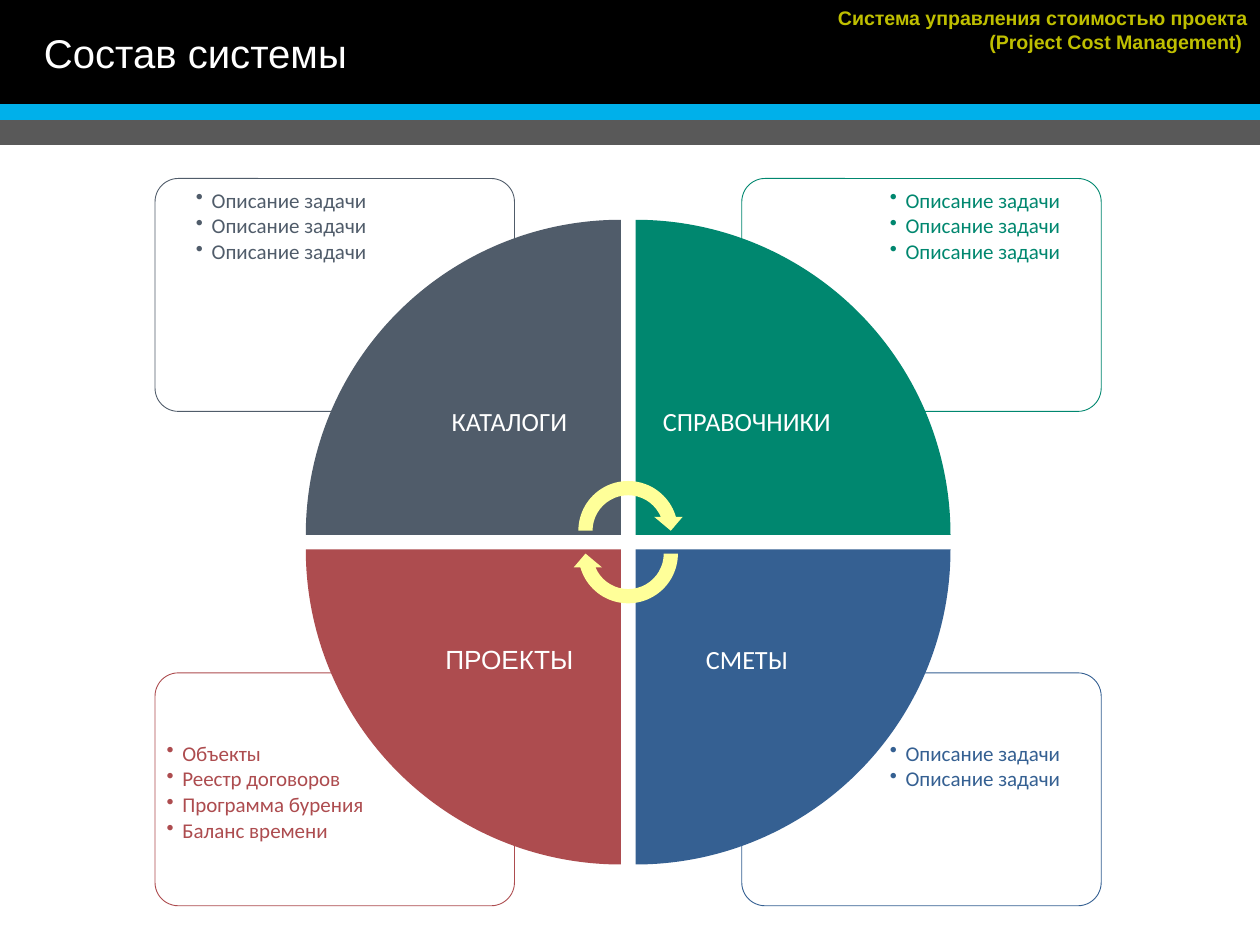
from collections import namedtuple
from lxml import etree
from pptx import Presentation
from pptx.dml.color import RGBColor
from pptx.enum.shapes import MSO_CONNECTOR, MSO_SHAPE
from pptx.enum.text import MSO_ANCHOR, PP_ALIGN
from pptx.oxml.ns import qn
from pptx.util import Pt

BLACK = RGBColor(0x00, 0x00, 0x00)
WHITE = RGBColor(0xFF, 0xFF, 0xFF)
GREY = RGBColor(0x59, 0x59, 0x59)
CYAN = RGBColor(0x00, 0xB0, 0xEA)
OLIVE = RGBColor(0xBF, 0xBF, 0x00)
SLATE = RGBColor(0x50, 0x5C, 0x6A)
GREEN = RGBColor(0x00, 0x87, 0x6F)
BLUE = RGBColor(0x35, 0x60, 0x92)
RED = RGBColor(0xAD, 0x4C, 0x4F)
YELLOW = RGBColor(0xFF, 0xFF, 0x99)

Box = namedtuple("Box", "left top width height")
# column and row are -1 or 1: the side of the centre
Quadrant = namedtuple("Quadrant", "column row rotation color label font align tasks")

TASK = "Описание задачи"
QUADRANTS = [
    Quadrant(1, 1, 180, BLUE, "СМЕТЫ", "Calibri", PP_ALIGN.CENTER, [TASK] * 2),
    Quadrant(-1, 1, 270, RED, "ПРОЕКТЫ", "Arial", PP_ALIGN.LEFT,
             ["Объекты", "Реестр договоров", "Программа бурения", "Баланс времени"]),
    Quadrant(1, -1, 90, GREEN, "СПРАВОЧНИКИ", "Calibri", PP_ALIGN.CENTER, [TASK] * 3),
    Quadrant(-1, -1, 0, SLATE, "КАТАЛОГИ", "Calibri", PP_ALIGN.CENTER, [TASK] * 3),
]


def points(box):
    return [Pt(value) for value in box]


def add_filled(page, kind, box, color, rotation=0):
    shape = page.shapes.add_shape(kind, *points(box))
    shape.shadow.inherit = False
    shape.fill.solid()
    shape.fill.fore_color.rgb = color
    shape.line.fill.background()
    shape.rotation = rotation
    return shape


def add_text(page, box, lines, font, paragraph=None, frame=None):
    """Add a text box with one paragraph per line; the dicts hold format values."""
    text_frame = page.shapes.add_textbox(*points(box)).text_frame
    for name, value in {"word_wrap": True, **(frame or {})}.items():
        setattr(text_frame, name, value)
    for index, line in enumerate(lines):
        para = text_frame.add_paragraph() if index else text_frame.paragraphs[0]
        for name, value in (paragraph or {}).items():
            setattr(para, name, value)
        span = para.add_run()
        span.text = line
        for name, value in font.items():
            if name == "color":
                span.font.color.rgb = value
            else:
                setattr(span.font, name, value)
    return text_frame


def margins(size):
    return {f"margin_{side}": Pt(size) for side in ("left", "right", "top", "bottom")}


def add_bullet(para, indent):
    properties = para._p.get_or_add_pPr()
    properties.set("marL", str(Pt(indent)))
    properties.set("indent", str(-Pt(indent)))
    etree.SubElement(properties, qn("a:buChar")).set("char", "•")


def add_header(page, box):
    add_filled(page, MSO_SHAPE.RECTANGLE, box, BLACK)
    stripe_top = box.top + 64
    bottom = box.top + box.height
    right = box.left + box.width
    add_filled(page, MSO_SHAPE.RECTANGLE,
               Box(box.left, stripe_top, box.width, bottom - stripe_top), GREY)
    stripe = page.shapes.add_connector(
        MSO_CONNECTOR.STRAIGHT, *points((box.left, stripe_top, right, stripe_top)))
    stripe.line.color.rgb = CYAN
    stripe.line.width = Pt(9)
    etree.SubElement(stripe._element.spPr, qn("a:effectLst"))
    add_text(page, Box(box.left + 18, box.top, 430, 63.4), ["Состав системы"],
             {"name": "Arial", "size": Pt(22.9), "color": WHITE},
             {"line_spacing": 0.9}, {"vertical_anchor": MSO_ANCHOR.MIDDLE})
    add_text(page, Box(right - 271.4, box.top, 271.4, 34.6),
             ["Система управления стоимостью проекта", "(Project Cost Management) "],
             {"name": "Arial", "size": Pt(11.2), "bold": True, "color": OLIVE},
             {"alignment": PP_ALIGN.RIGHT})


def add_panel(page, box, quadrant):
    """Outlined card with its task list in the outer corner."""
    card = add_filled(page, MSO_SHAPE.ROUNDED_RECTANGLE, box, WHITE)
    card.adjustments[0] = 0.1
    fill_color = card._element.spPr.find(qn("a:solidFill"))[0]
    etree.SubElement(fill_color, qn("a:alpha")).set("val", "90000")
    card.line.color.rgb = quadrant.color
    card.line.width = Pt(0.5)

    width, height, gap = 138.2, 93.6, 3
    left = box.left + (gap if quadrant.column < 0 else box.width - width - gap)
    top = box.top + (gap if quadrant.row < 0 else box.height - height - gap)
    text_frame = add_text(
        page, Box(left, top, width, height), quadrant.tasks,
        {"name": "Calibri", "size": Pt(12), "color": quadrant.color},
        {"alignment": quadrant.align, "line_spacing": 0.9, "space_after": Pt(1.8)},
        margins(3.6))
    for para in text_frame.paragraphs:
        add_bullet(para, 9)


def add_wedge(page, box, quadrant):
    """Quarter of the circle with its label near the centre."""
    add_filled(page, MSO_SHAPE.PIE_WEDGE, box, quadrant.color, quadrant.rotation)
    size = 127.3
    left = box.left + (box.width - size if quadrant.column < 0 else 0)
    top = box.top + (box.height - size if quadrant.row < 0 else 0)
    add_text(page, Box(left, top, size, size), [quadrant.label],
             {"name": quadrant.font, "size": Pt(15), "color": WHITE},
             {"alignment": PP_ALIGN.CENTER, "line_spacing": 0.9, "space_after": Pt(5.25)},
             {"vertical_anchor": MSO_ANCHOR.MIDDLE, **margins(8.6)})


def add_cycle(page, box):
    """Four panels in the corners of the box, a split circle and two turning arrows."""
    center_x = box.left + box.width / 2
    center_y = box.top + box.height / 2

    def place(quadrant, width, height, gap_x, gap_y):
        return Box(center_x + quadrant.column * (gap_x + width / 2) - width / 2,
                   center_y + quadrant.row * (gap_y + height / 2) - height / 2,
                   width, height)

    panel_width, panel_height = 205.4, 133.1
    for quadrant in QUADRANTS:
        add_panel(page, place(quadrant, panel_width, panel_height,
                              box.width / 2 - panel_width,
                              box.height / 2 - panel_height), quadrant)
    for quadrant in QUADRANTS:
        add_wedge(page, place(quadrant, 180, 180, 4.2, 4.2), quadrant)
    size = 65
    for offset, rotation in ((-6.5, 0), (6.5, 180)):
        add_filled(page, MSO_SHAPE.CIRCULAR_ARROW,
                   Box(center_x - size / 2, center_y + offset - size / 2, size, size),
                   YELLOW, rotation)


def main():
    deck = Presentation()
    deck.slide_width, deck.slide_height = Pt(720), Pt(540)
    page = deck.slides.add_slide(deck.slide_layouts[6])
    add_header(page, Box(0, 0, 720, 82.7))
    add_cycle(page, Box(88.6, 102, 540.7, 415.6))
    deck.save("out.pptx")


if __name__ == "__main__":
    main()
